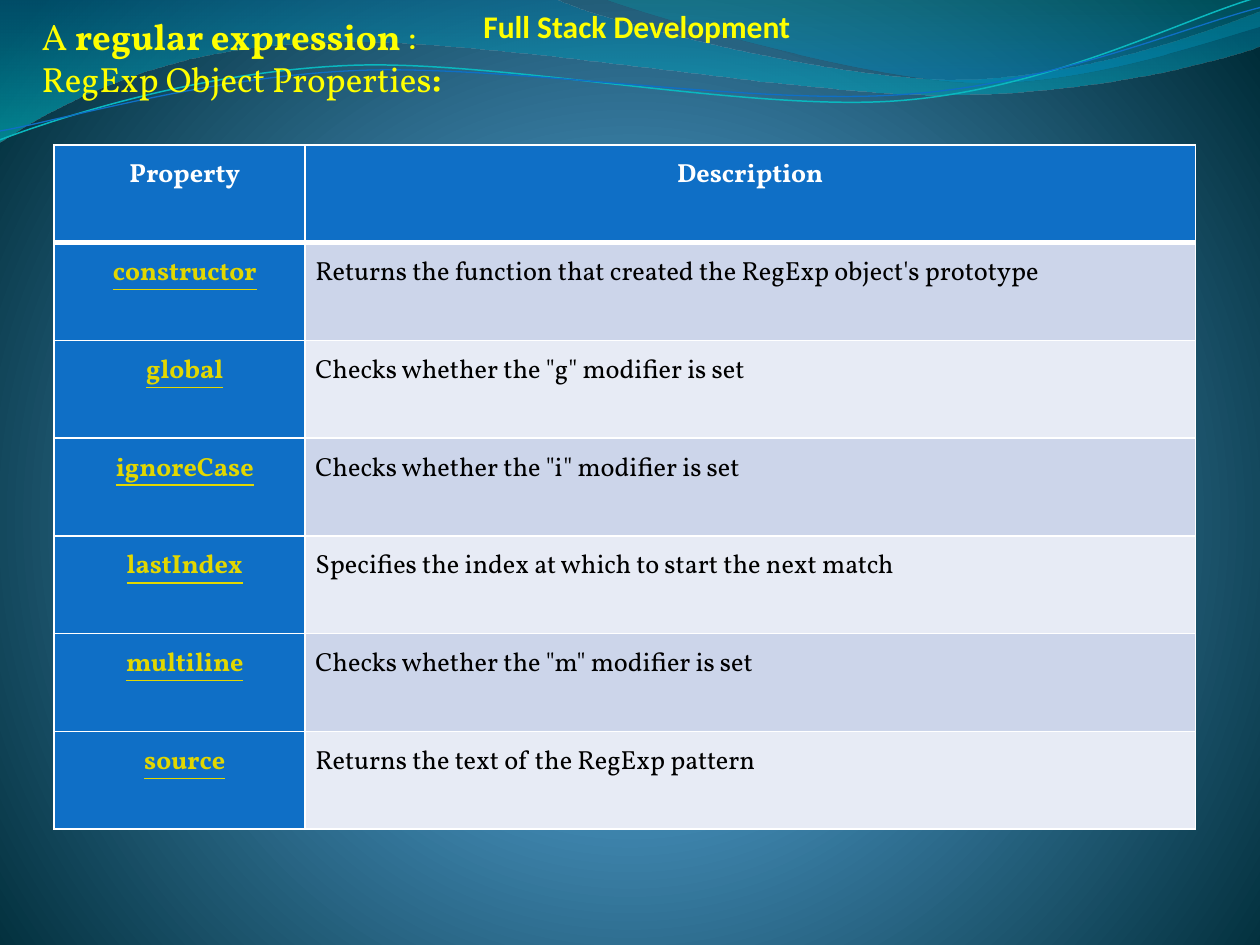
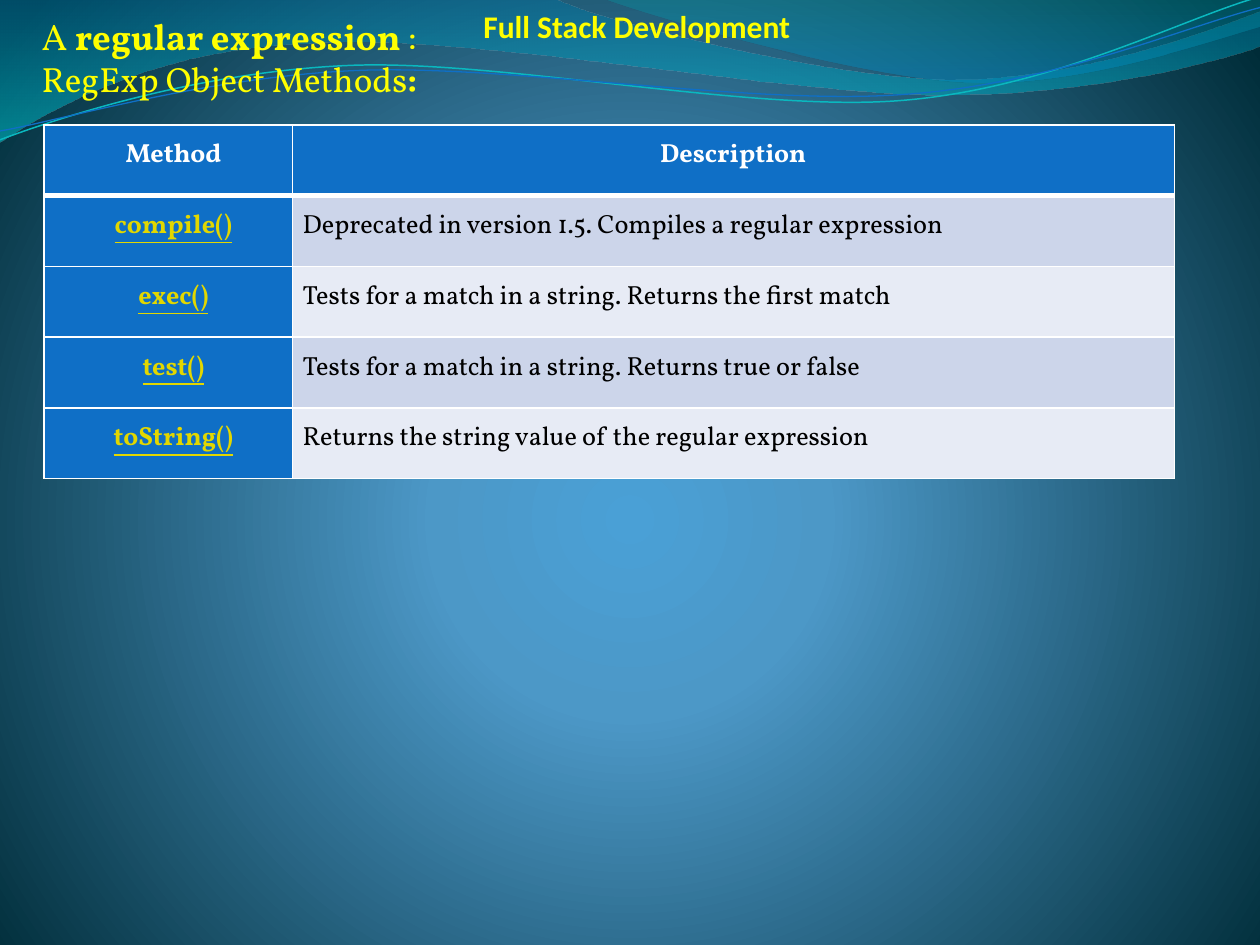
from dataclasses import dataclass

from lxml import etree
from pptx import Presentation
from pptx.dml.color import RGBColor
from pptx.enum.text import MSO_ANCHOR, MSO_AUTO_SIZE, PP_ALIGN
from pptx.oxml.ns import qn
from pptx.util import Inches, Pt

LEFT, CENTER = PP_ALIGN.LEFT, PP_ALIGN.CENTER
TOP = MSO_ANCHOR.TOP
NO_FIT = MSO_AUTO_SIZE.NONE

COURSE = "Full Stack Development"
TOPIC = [("A ", False), ("regular expression ", True), (":", False)]

SLIDES = [
    {
        "subtitle": "RegExp Object Properties",
        "at": (0.43, 1.15),
        "cols": (1.99, 7.07),
        "height": 5.43,
        "rows": [
            ("Property", "Description"),
            ("constructor", "Returns the function that created the RegExp object's prototype"),
            ("global", 'Checks whether the "g" modifier is set'),
            ("ignoreCase", 'Checks whether the "i" modifier is set'),
            ("lastIndex", "Specifies the index at which to start the next match"),
            ("multiline", 'Checks whether the "m" modifier is set'),
            ("source", "Returns the text of the RegExp pattern"),
        ],
    },
    {
        "subtitle": "RegExp Object Methods",
        "at": (0.35, 0.99),
        "cols": (1.97, 7.0),
        "height": 2.81,
        "rows": [
            ("Method", "Description"),
            ("compile()", "Deprecated in version 1.5. Compiles a regular expression"),
            ("exec()", "Tests for a match in a string. Returns the first match"),
            ("test()", "Tests for a match in a string. Returns true or false"),
            ("toString()", "Returns the string value of the regular expression"),
        ],
    },
]


@dataclass(frozen=True)
class Theme:
    heading: str = "FFFF00"
    white: str = "FFFFFF"
    black: str = "000000"
    accent: str = "0F6FC6"
    link: str = "E2D700"
    bands: tuple = ("CCD5EA", "E7EBF5")
    background: tuple = ((0, "4AA0D6", 100), (25, "4C98C7", 100), (100, "002C38", 100))
    course_size: float = 18
    topic_size: float = 21
    subtitle_size: float = 20
    table_size: float = 15
    course_font: str = "Calibri"
    font: str = "Vollkorn"


T = Theme()

WAVES = [
    {
        "start": (0, 0),
        "steps": [
            (4.4, -0.01),
            (4.76, 0.17, 6.64, 0.63, 7.58, 0.63),
            (8.53, 0.63, 9.58, 0.26, 10, 0.09),
            (10.01, 0.36),
            (9.83, 0.44, 8.7, 0.76, 7.46, 0.75),
            (6.22, 0.75, 3.82, 0.28, 2.57, 0.34),
            (1.29, 0.36, 0.46, 0.83, -0.01, 1.13),
        ],
        "stops": [(0, "0074A1", 45), (100, "00C6CF", 55)],
    },
    {
        "start": (4.79, -0.01),
        "steps": [
            (5.09, 0.11, 6.82, 0.62, 7.69, 0.65),
            (8.56, 0.69, 9.61, 0.32, 10, 0.21),
            (10, 0),
        ],
        "stops": [(0, "00A1A9", 30), (80, "008BBF", 45)],
    },
    {
        "start": (0, 1.11),
        "steps": [
            (0.48, 0.93, 1.58, 0.57, 2.77, 0.52),
            (3.95, 0.47, 5.93, 0.89, 7.13, 0.8),
            (8.33, 0.71, 9.38, 0.15, 9.98, -0.02),
        ],
        "line": ("0AB8BF", 0.85),
    },
    {
        "start": (0, 1.04),
        "steps": [
            (0.47, 0.96, 1.64, 0.61, 2.83, 0.56),
            (4.03, 0.51, 5.97, 0.84, 7.17, 0.75),
            (8.36, 0.67, 9.41, 0.21, 10, 0.06),
        ],
        "line": (T.accent, 0.75),
    },
]


def rgb(color):
    return RGBColor.from_string(color)


def add_run(p, text, size=T.table_size, color=T.black, font=T.font, bold=False, underline=False):
    r = p.add_run()
    r.text = text
    r.font.size = Pt(size)
    r.font.name = font
    r.font.bold = bold
    r.font.underline = underline
    r.font.color.rgb = rgb(color)


def set_gradient(fill, element, stops, circle=False):
    fill.gradient()
    grad = next(element.iter(qn("a:gradFill")))
    for child in list(grad):
        grad.remove(child)
    stop_list = etree.SubElement(grad, qn("a:gsLst"))
    for position, color, alpha in stops:
        stop = etree.SubElement(stop_list, qn("a:gs"), pos=str(position * 1000))
        clr = etree.SubElement(stop, qn("a:srgbClr"), val=color)
        if alpha < 100:
            etree.SubElement(clr, qn("a:alpha"), val=str(alpha * 1000))
    if circle:
        shade = etree.SubElement(grad, qn("a:path"), path="circle")
        etree.SubElement(shade, qn("a:fillToRect"), l="10000", t="110000", r="10000", b="100000")
    else:
        etree.SubElement(grad, qn("a:lin"), ang="5400000", scaled="1")


def curve_segments(shape, steps):
    segments = iter(list(shape.element.iter(qn("a:lnTo"))))
    for step in steps:
        first = next(segments)
        if len(step) == 6:
            first.tag = qn("a:cubicBezTo")
            for _ in range(2):
                extra = next(segments)
                first.append(extra[0])
                extra.getparent().remove(extra)


def add_wave(s, wave):
    steps = wave["steps"]
    points = [(Inches(x), Inches(y)) for step in steps for x, y in zip(step[::2], step[1::2])]
    builder = s.shapes.build_freeform(*map(Inches, wave["start"]))
    builder.add_line_segments(points, close="stops" in wave)
    shape = builder.convert_to_shape()
    curve_segments(shape, steps)
    shape.shadow.inherit = False
    if "stops" in wave:
        set_gradient(shape.fill, shape.element, wave["stops"])
        shape.line.fill.background()
    else:
        color, width = wave["line"]
        shape.fill.background()
        shape.line.color.rgb = rgb(color)
        shape.line.width = Pt(width)
    return shape


def decorate_layout(layout, s):
    set_gradient(layout.background.fill, layout.element, T.background, circle=True)
    for i, wave in enumerate(WAVES):
        layout.shapes.element.insert(2 + i, add_wave(s, wave).element)


def add_headings(s, subtitle):
    title = s.shapes.title
    title.left, title.top, title.width, title.height = map(Inches, (0.23, 0.06, 9.57, 0.85))
    tf = title.text_frame
    tf.auto_size = NO_FIT
    tf.vertical_anchor = TOP
    lines = [(T.topic_size, TOPIC), (T.subtitle_size, [(subtitle, False), (":", True)])]
    for i, (size, runs) in enumerate(lines):
        p = tf.add_paragraph() if i else tf.paragraphs[0]
        p.alignment = LEFT
        for text, bold in runs:
            add_run(p, text, size=size, color=T.heading, bold=bold)

    box = s.shapes.add_textbox(*map(Inches, (1.93, 0.01, 6.25, 0.4)))
    box.text_frame.word_wrap = True
    p = box.text_frame.paragraphs[0]
    p.alignment = CENTER
    add_run(p, COURSE, size=T.course_size, color=T.heading, font=T.course_font, bold=True)


def set_borders(cell, top, bottom):
    tc_pr = cell._tc.get_or_add_tcPr()
    for side, width in (("L", 1), ("R", 1), ("T", top), ("B", bottom)):
        ln = etree.SubElement(tc_pr, qn(f"a:ln{side}"), w=str(Pt(width)))
        fill = etree.SubElement(ln, qn("a:solidFill"))
        etree.SubElement(fill, qn("a:srgbClr"), val=T.white)


def fill_cell(cell, text, row, col):
    header, key = row == 0, col == 0
    set_borders(cell, top=3 if row == 1 else 1, bottom=3 if header else 1)
    cell.fill.solid()
    cell.fill.fore_color.rgb = rgb(T.accent if header or key else T.bands[(row - 1) % 2])
    cell.margin_left = Pt(12 if key else 6)
    cell.margin_right = cell.margin_top = cell.margin_bottom = Pt(6)
    p = cell.text_frame.paragraphs[0]
    p.alignment = CENTER if header or key else LEFT
    p.line_spacing = 1.07
    p.space_before = p.space_after = Pt(15)
    color = T.white if header else T.link if key else T.black
    add_run(p, text, color=color, bold=header or key, underline=key and not header)


def add_reference_table(s, content):
    rows, cols, height = content["rows"], content["cols"], content["height"]
    box = content["at"] + (sum(cols), height)
    table = s.shapes.add_table(len(rows), len(cols), *map(Inches, box)).table
    for column, width in zip(table.columns, cols):
        column.width = Inches(width)
    for i, texts in enumerate(rows):
        table.rows[i].height = Inches(height / len(rows))
        for j, text in enumerate(texts):
            fill_cell(table.cell(i, j), text, i, j)


def main():
    prs = Presentation()
    prs.slide_width, prs.slide_height = Inches(10), Inches(7.5)
    layout = prs.slide_layouts[5]
    for i, content in enumerate(SLIDES):
        s = prs.slides.add_slide(layout)
        if i == 0:
            decorate_layout(layout, s)
        add_headings(s, content["subtitle"])
        add_reference_table(s, content)
    prs.save("out.pptx")


if __name__ == "__main__":
    main()
